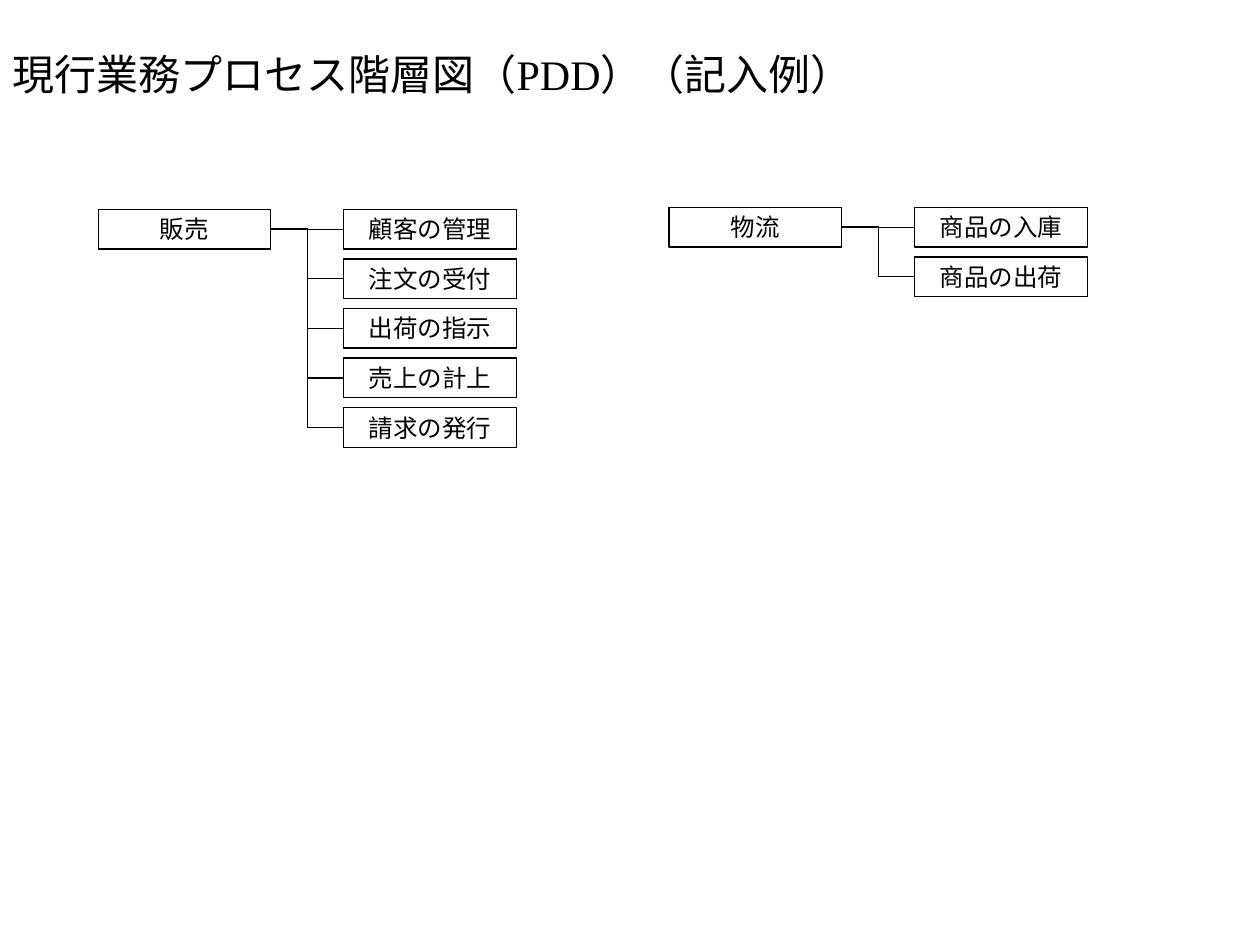
"""Build the process hierarchy slide."""
from dataclasses import dataclass

from pptx import Presentation
from pptx import util as u
from pptx.dml.color import RGBColor
from pptx.enum import shapes, text
from pptx.oxml import parse_xml
from pptx.oxml.ns import nsdecls

WIDE, HIGH = 3.48, 0.8
STEP, SHIFT = 1.0, 4.95
INK = "000000"


@dataclass
class Tree:
    """A process and its steps, placed in centimetres."""
    root: str
    steps: list[str]
    left: float
    top: float


TREES = [
    Tree("販売", ["顧客の管理", "注文の受付", "出荷の指示", "売上の計上", "請求の発行"], 1.98, 4.22),
    Tree("物流", ["商品の入庫", "商品の出荷"], 13.49, 4.18),
]


def paint(form, tone: str) -> None:
    """Set a font or fill colour."""
    form.rgb = RGBColor.from_string(tone)


def style(frame, face: str, size: float, align) -> None:
    """Format the only paragraph of a text frame."""
    para = frame.paragraphs[0]
    para.alignment = align
    font = para.runs[0].font
    font.name, font.size = face, u.Pt(size)
    paint(font.color, INK)


def edge(item) -> None:
    """Give a shape or connector a thin line."""
    item.line.width = u.Pt(0.74)
    paint(item.line.color, INK)


def box(slide, label: str, left: float, top: float):
    """Draw one labelled box."""
    item = slide.shapes.add_shape(
        shapes.MSO_SHAPE.RECTANGLE, u.Cm(left), u.Cm(top), u.Cm(WIDE), u.Cm(HIGH))
    item.shadow.inherit = False
    item.fill.background()
    edge(item)
    frame = item.text_frame
    frame.text = label
    frame.word_wrap = True
    frame.auto_size = text.MSO_AUTO_SIZE.SHAPE_TO_FIT_TEXT
    frame.vertical_anchor = text.MSO_ANCHOR.TOP
    frame.margin_left = frame.margin_right = u.Cm(0.1)
    frame.margin_top = frame.margin_bottom = u.Cm(0.1)
    frame.paragraphs[0].space_before = u.Pt(3.5)
    style(frame, "Arial", 14, text.PP_ALIGN.CENTER)
    return item


def link(slide, step, root, kind) -> None:
    """Join the left of a step to the right of its root."""
    line = slide.shapes.add_connector(kind, 0, 0, 0, 0)
    line.begin_connect(step, 1)
    line.end_connect(root, 3)
    edge(line)
    line._element.spPr.append(parse_xml(f"<a:effectLst {nsdecls('a')}/>"))


def draw(slide, tree: Tree) -> None:
    """Draw a process with its steps and links."""
    root = box(slide, tree.root, tree.left, tree.top)
    for row, label in enumerate(tree.steps):
        step = box(slide, label, tree.left + SHIFT, tree.top + row * STEP)
        kind = shapes.MSO_CONNECTOR.ELBOW if row else shapes.MSO_CONNECTOR.STRAIGHT
        link(slide, step, root, kind)


def main() -> None:
    """Build and save the deck."""
    deck = Presentation()
    deck.slide_width, deck.slide_height = u.Cm(25.4), u.Cm(19.05)
    slide = deck.slides.add_slide(deck.slide_layouts[5])
    title = slide.shapes.title
    title.left, title.top = u.Cm(0), u.Cm(0.61)
    title.width, title.height = u.Cm(25.4), u.Cm(1.52)
    frame = title.text_frame
    frame.text = "現行業務プロセス階層図（PDD）（記入例）"
    frame.auto_size = text.MSO_AUTO_SIZE.NONE
    frame.vertical_anchor = text.MSO_ANCHOR.BOTTOM
    style(frame, "Times New Roman", 24, text.PP_ALIGN.LEFT)
    for tree in TREES:
        draw(slide, tree)
    deck.save("out.pptx")


main()
